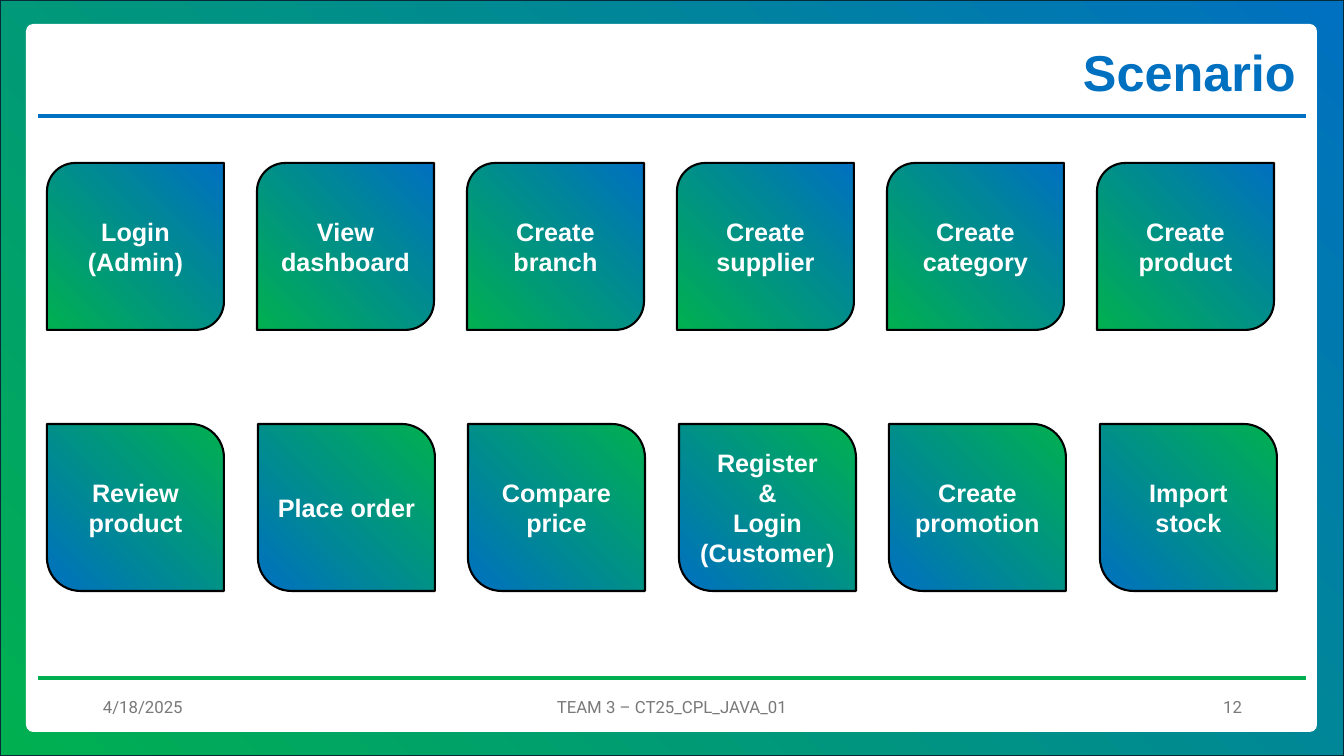
"""Build the Scenario slide: two rows of step tiles in a gradient frame."""
from dataclasses import dataclass

from lxml import etree
from pptx import Presentation
from pptx.dml.color import RGBColor
from pptx.enum.shapes import MSO_CONNECTOR, MSO_SHAPE
from pptx.enum.text import MSO_ANCHOR, MSO_AUTO_SIZE, PP_ALIGN
from pptx.oxml.ns import qn
from pptx.util import Emu, Pt

RECTANGLE = MSO_SHAPE.RECTANGLE
ROUNDED = MSO_SHAPE.ROUNDED_RECTANGLE
DIAGONAL = MSO_SHAPE.ROUND_2_DIAG_RECTANGLE
STRAIGHT = MSO_CONNECTOR.STRAIGHT
MIDDLE = MSO_ANCHOR.MIDDLE
NO_FIT = MSO_AUTO_SIZE.NONE
LEFT, CENTER, RIGHT = PP_ALIGN.LEFT, PP_ALIGN.CENTER, PP_ALIGN.RIGHT

EMU_PER_PX = 914400 / 100.8
TILE_WIDTH, TILE_HEIGHT = 177, 167
FIRST_TILE_LEFT = 47

ADMIN_STEPS = ["Login\n(Admin)", "View\ndashboard", "Create\nbranch",
               "Create\nsupplier", "Create\ncategory", "Create\nproduct"]
CUSTOMER_STEPS = ["Review product", "Place order", "Compare price",
                  "Register\n&\nLogin\n(Customer)", "Create promotion", "Import stock"]
FOOTERS = [("4/18/2025", 93, 302, LEFT),
           ("TEAM 3 – CT25_CPL_JAVA_01", 445, 454, CENTER),
           ("12", 950, 302, RIGHT)]


@dataclass(frozen=True)
class Theme:
    """Colours and type styles of the slide."""
    blue: str = "0070C0"
    green: str = "00B050"
    white: str = "FFFFFF"
    black: str = "000000"
    edge: str = "092A39"
    gray: str = "797979"
    title_font: tuple = ("Arial", 36, True)
    tile_font: tuple = ("Arial", 18, True)
    footer_font: tuple = ("Roboto", 12, False)


def px(length):
    """Turn pixels into EMU."""
    return Emu(round(length * EMU_PER_PX))


def box(*lengths):
    """Turn several pixel lengths into EMU."""
    return [px(length) for length in lengths]


class SlideBuilder:
    """Draws themed elements on one slide."""

    def __init__(self, slide, theme):
        self.slide = slide
        self.theme = theme

    def set_text(self, frame, text, font, color, align, spacing=None):
        """Fill a text frame with uniformly styled paragraphs."""
        frame.text = text
        frame_format = {"word_wrap": True, "auto_size": NO_FIT, "vertical_anchor": MIDDLE}
        for key, value in frame_format.items():
            setattr(frame, key, value)
        family, size, bold = font
        font_format = {"name": family, "size": Pt(size), "bold": bold}
        for paragraph in frame.paragraphs:
            paragraph.alignment = align
            paragraph.line_spacing = spacing
            for run in paragraph.runs:
                for key, value in font_format.items():
                    setattr(run.font, key, value)
                run.font.color.rgb = RGBColor.from_string(color)

    def shape(self, kind, place, line=None, corners=()):
        """Add a shadowless preset shape."""
        shape = self.slide.shapes.add_shape(kind, *box(*place))
        shape.shadow.inherit = False
        for index, corner in enumerate(corners):
            shape.adjustments[index] = corner
        if line:
            shape.line.color.rgb = RGBColor.from_string(line)
            shape.line.width = Pt(1.5)
        else:
            shape.line.fill.background()
        return shape

    def gradient(self, shape, radial=False):
        """Blend green and blue along the rising diagonal or out from the top right."""
        shape.fill.gradient()
        shape.fill.gradient_angle = 45
        for stop, color in zip(shape.fill.gradient_stops, (self.theme.green, self.theme.blue)):
            stop.color.rgb = RGBColor.from_string(color)
        if radial:
            blend = shape.element.spPr.find(qn("a:gradFill"))
            blend.remove(blend.find(qn("a:lin")))
            circle = etree.SubElement(blend, qn("a:path"), {"path": "circle"})
            etree.SubElement(circle, qn("a:fillToRect"), {"l": "100000", "b": "100000"})

    def frame(self):
        """Draw the gradient border and the white panel."""
        border = self.shape(RECTANGLE, (0, 0, 1344, 756), self.theme.edge)
        self.gradient(border)
        panel = self.shape(ROUNDED, (26, 24, 1291, 708), corners=(0.01,))
        panel.fill.solid()
        panel.fill.fore_color.rgb = RGBColor.from_string(self.theme.white)

    def rule(self, top, color):
        """Draw a horizontal rule across the panel."""
        rule = self.slide.shapes.add_connector(STRAIGHT, *box(38, top, 1306, top))
        rule.line.color.rgb = RGBColor.from_string(color)
        rule.line.width = Pt(3)
        etree.SubElement(rule.element.spPr, qn("a:effectLst"))

    def title(self, text):
        """Place the title above the panel in the stacking order."""
        title = self.slide.shapes.title
        title.element.getparent().append(title.element)
        place = dict(zip(("left", "top", "width", "height"), box(125, 34, 1181, 82)))
        for key, value in place.items():
            setattr(title, key, value)
        self.set_text(title.text_frame, text, self.theme.title_font, self.theme.blue, RIGHT, 0.9)

    def footer(self, text, left, width, align):
        """Add one footer entry."""
        entry = self.slide.shapes.add_textbox(*box(left, 687, width, 40))
        self.set_text(entry.text_frame, text, self.theme.footer_font, self.theme.gray, align)

    def tile_row(self, steps, top, last_left, corners, radial=False):
        """Spread step tiles evenly between the first and last left edges."""
        pitch = (last_left - FIRST_TILE_LEFT) / (len(steps) - 1)
        for index, step in enumerate(steps):
            left = round(FIRST_TILE_LEFT + index * pitch)
            place = (left, top, TILE_WIDTH, TILE_HEIGHT)
            tile = self.shape(DIAGONAL, place, self.theme.black, corners)
            self.gradient(tile, radial)
            self.set_text(tile.text_frame, step, self.theme.tile_font, self.theme.white, CENTER)


def main():
    """Build and save the presentation."""
    presentation = Presentation()
    presentation.slide_width, presentation.slide_height = box(1344, 756)
    theme = Theme()
    title_only = presentation.slide_layouts[5]
    scenario = SlideBuilder(presentation.slides.add_slide(title_only), theme)
    scenario.frame()
    scenario.rule(116, theme.blue)
    scenario.rule(678, theme.green)
    scenario.title("Scenario")
    for entry in FOOTERS:
        scenario.footer(*entry)
    scenario.tile_row(ADMIN_STEPS, 163, 1097, (0.17, 0))
    scenario.tile_row(CUSTOMER_STEPS, 424, 1100, (0, 0.2), radial=True)
    presentation.save("out.pptx")


if __name__ == "__main__":
    main()
